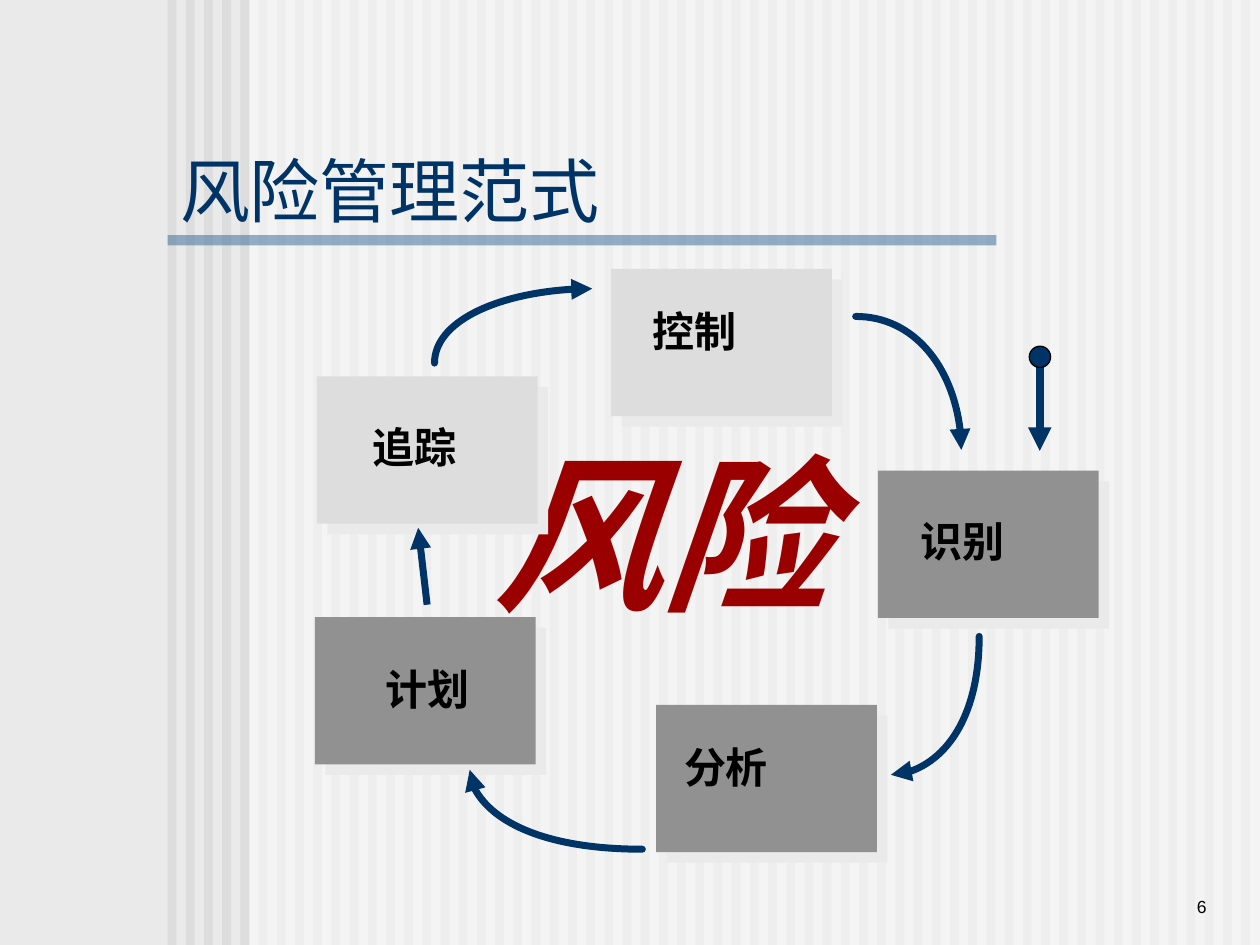
from dataclasses import dataclass

from lxml import etree
from pptx import Presentation
from pptx.dml.color import RGBColor
from pptx.enum.shapes import MSO_CONNECTOR, MSO_SHAPE
from pptx.enum.text import MSO_ANCHOR, PP_ALIGN
from pptx.oxml.ns import qn
from pptx.util import Cm, Pt

RECT, OVAL = MSO_SHAPE.RECTANGLE, MSO_SHAPE.OVAL
LINE = MSO_CONNECTOR.STRAIGHT
TOP, MID, LOW = MSO_ANCHOR.TOP, MSO_ANCHOR.MIDDLE, MSO_ANCHOR.BOTTOM
LEFT, RIGHT = PP_ALIGN.LEFT, PP_ALIGN.RIGHT


@dataclass(frozen=True)
class Theme:
    font: str = "Arial"
    back: str = "EAEAEA"
    pale: str = "DDDDDD"
    dark: str = "919191"
    white: str = "FFFFFF"
    black: str = "000000"
    navy: str = "003366"
    blue: str = "336699"
    red: str = "9A0000"
    huge: int = 96
    title: int = 40
    label: int = 24
    small: int = 10


class Deck:
    def __init__(self, theme):
        self.theme = theme
        self.file = Presentation()
        self.file.slide_width, self.file.slide_height = Cm(25.4), Cm(19.05)
        self.slide = self.file.slides.add_slide(self.file.slide_layouts[6])
        self.shapes = self.slide.shapes
        self.paint(self.slide.background.fill, theme.back)

    def paint(self, fill, color, alpha=None):
        fill.solid()
        fill.fore_color.rgb = RGBColor.from_string(color)
        if alpha:
            tone = fill._xPr.find(".//" + qn("a:srgbClr"))
            etree.SubElement(tone, qn("a:alpha"), val=str(alpha * 1000))

    def shape(self, kind, box, color, alpha=None, edge=None):
        item = self.shapes.add_shape(kind, *map(Cm, box))
        item.shadow.inherit = False
        self.paint(item.fill, color, alpha)
        if edge:
            self.paint(item.line.fill, edge)
            item.line.width = Pt(0.75)
        else:
            item.line.fill.background()
        return item

    def card(self, left, top, color):
        item = self.shape(RECT, (left, top, 4.45, 2.97), color)
        effects = item._element.spPr.find(qn("a:effectLst"))
        shade = etree.SubElement(effects, qn("a:outerShdw"), dist=str(Pt(8.5)),
                                 dir="2700000", algn="ctr", rotWithShape="0")
        etree.SubElement(shade, qn("a:srgbClr"), val=self.theme.back)

    def text(self, words, box, size, color, anchor=TOP, align=LEFT,
             bold=False, slant=False, space=1.0, fill=None):
        item = self.shapes.add_textbox(*map(Cm, box))
        if fill:
            self.paint(item.fill, fill)
        frame = item.text_frame
        frame.text = words
        frame.word_wrap = True
        frame.vertical_anchor = anchor
        para = frame.paragraphs[0]
        para.alignment = align
        para.line_spacing = space
        font = para.runs[0].font
        font.name, font.size = self.theme.font, Pt(size)
        font.bold, font.italic = bold, slant
        font.color.rgb = RGBColor.from_string(color)

    def stroke(self, item, width, cap="flat"):
        self.paint(item.line.fill, self.theme.navy)
        item.line.width = Pt(width)
        ln = item._element.spPr.find(qn("a:ln"))
        ln.set("cap", cap)
        etree.SubElement(ln, qn("a:tailEnd"), type="triangle")

    def arrow(self, start, end, width):
        item = self.shapes.add_connector(LINE, *map(Cm, start + end))
        self.stroke(item, width)
        etree.SubElement(item._element.spPr, qn("a:effectLst"))

    def curve(self, start, end, flat):
        """Quarter ellipse, leaving the start sideways if flat."""
        corner = (end[0], start[1]) if flat else (start[0], end[1])
        pulls = [[a + (b - a) * 0.55 for a, b in zip(tip, corner)]
                 for tip in (start, end)]
        points = [tuple(map(Cm, spot)) for spot in (*pulls, end)]
        pen = self.shapes.build_freeform(*map(Cm, start))
        pen.add_line_segments(points, close=False)
        item = pen.convert_to_shape()
        item.shadow.inherit = False
        item.fill.background()
        # Turn the three segments into one Bezier curve
        track = item._element.spPr.find(".//" + qn("a:path"))
        track.set("fill", "none")
        steps = track.findall(qn("a:lnTo"))
        bend = etree.SubElement(track, qn("a:cubicBezTo"))
        for step in steps:
            bend.append(step[0])
            track.remove(step)
        self.stroke(item, 4, "rnd")


def main():
    theme = Theme()
    deck = Deck(theme)

    # Striped background, veil and title rule
    first, last, count = 3.38, 25.02, 60
    pitch = (last - first) / (count - 1)
    for i in range(count):
        deck.shape(RECT, (first + i * pitch, 0, 0.18, 19.05), theme.pale)
    deck.shape(RECT, (5.03, 0, 20.37, 19.05), theme.white, 50)
    deck.shape(RECT, (3.38, 4.74, 16.71, 0.21), theme.blue, 50)

    # Page number, centre word and title
    deck.text("6", (20.96, 17.35, 3.61, 1.27), theme.small, theme.black,
              LOW, RIGHT)
    deck.text("风险", (9.7, 9.02, 8.2, 3.91), theme.huge, theme.red,
              bold=True, slant=True, space=0.9)
    deck.text("风险管理范式", (3.38, 2.74, 20.42, 2.16), theme.title,
              theme.navy, MID)

    # Step cards
    for left, top, color in (
        (17.7, 9.49, theme.dark),
        (12.32, 5.42, theme.pale),
        (6.39, 7.59, theme.pale),
        (6.35, 12.44, theme.dark),
        (13.23, 14.21, theme.dark),
    ):
        deck.card(left, top, color)

    # Arrows around the cycle
    for start, end, flat in (
        ((17.25, 6.38), (19.38, 9.07), True),
        ((19.74, 12.83), (17.96, 15.62), False),
        ((12.95, 17.12), (9.47, 15.52), True),
        ((8.76, 7.32), (11.94, 5.82), False),
    ):
        deck.curve(start, end, flat)
    deck.arrow((8.61, 12.19), (8.43, 10.64), 4)

    # Step names
    for words, left, top, width, fill in (
        ("控制", 12.9, 6.15, 3.78, None),
        ("识别", 18.31, 10.39, 4.19, None),
        ("分析", 13.54, 14.94, 3.76, theme.dark),
        ("计划", 7.52, 13.36, 3.18, None),
        ("追踪", 7.26, 8.48, 3.02, None),
    ):
        deck.text(words, (left, top, width, 1.17), theme.label, theme.black,
                  bold=True, space=0.9, fill=fill)

    # Entry point of the cycle
    deck.arrow((20.96, 7.19), (20.96, 9.09), 4.5)
    deck.shape(OVAL, (20.75, 6.98, 0.43, 0.43), theme.navy, edge=theme.black)

    deck.file.save("out.pptx")


if __name__ == "__main__":
    main()
